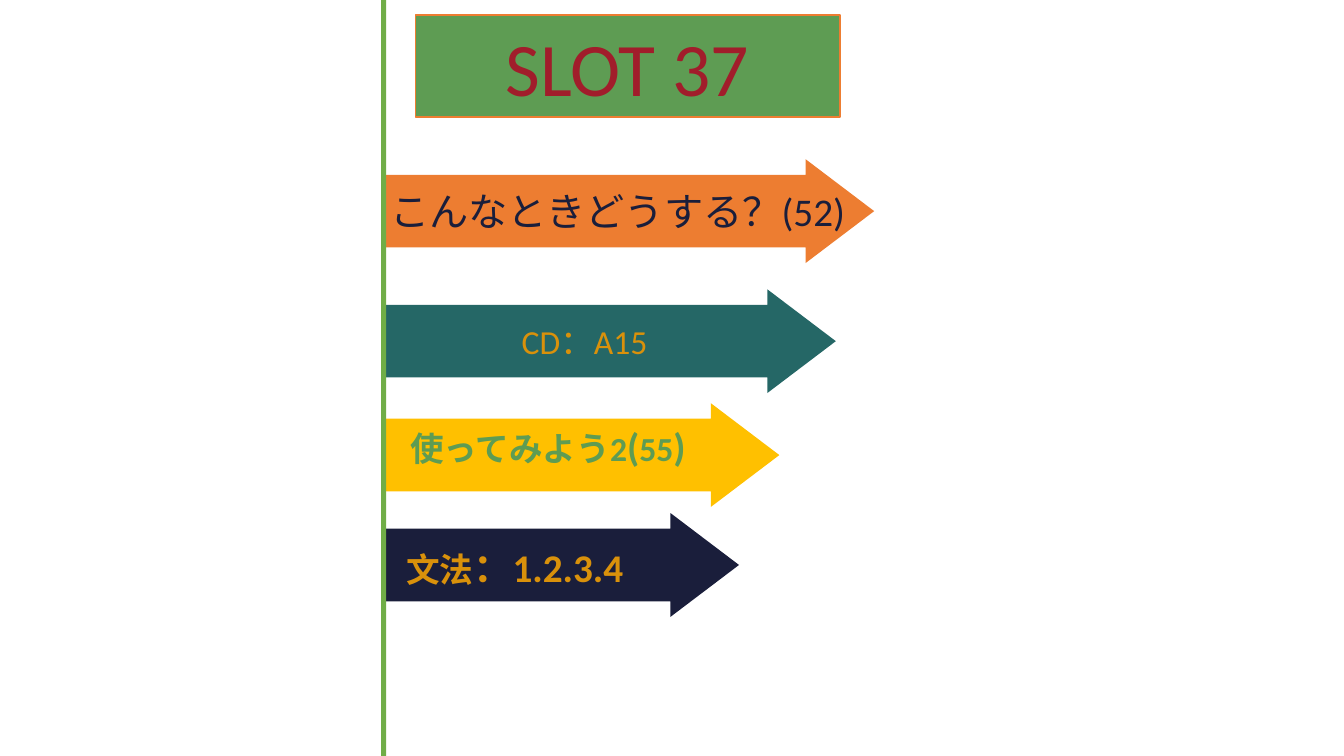
from pptx import Presentation
from pptx import util as u
from pptx.dml.color import RGBColor
from pptx.enum import shapes, text

HUES = {"green": "5E9C53", "rule": "70AD47", "orange": "ED7D31", "teal": "256766",
        "yellow": "FFC000", "navy": "1A1E3B", "gold": "D9910B", "red": "A11D2B"}
FONT = "Calibri"
WIDE, HIGH = 13.33, 7.5
RULE = (3.78, 0, 0.05, HIGH)
TITLE = ("SLOT 37", 54)
TALL = 1.03  # height of every arrow

# Arrows: left, top, width, fill
ARROWS = [
    (3.78, 1.58, 4.89, "orange"),
    (3.78, 2.87, 4.51, "teal"),
    (3.83, 4.0, 3.9, "yellow"),
    (3.83, 5.09, 3.5, "navy"),
]
TRACK = [("CD：A15", 24)]  # written inside the teal arrow

# Labels over arrows: box, colour, bold, runs of (text, size)
LABELS = [
    ((3.77, 1.81, 5.94, 0.57), "navy", False, [("こんなときどうする？(52)", 28)]),
    ((3.97, 4.14, 4.51, 0.57), "green", True,
     [("使ってみよう2", 24), ("(", 28), ("55", 24), (")", 28)]),
    ((3.93, 5.34, 3.25, 0.57), "gold", True, [("文法", 24), ("：1.2.3.4", 28)]),
]


def rgb(hue):
    return RGBColor.from_string(HUES[hue])


def place(box):
    return [u.Inches(n) for n in box]


def draw(slide, kind, box, fill, line=None):
    shape = slide.shapes.add_shape(kind, *place(box))
    shape.shadow.inherit = False
    shape.fill.solid()
    shape.fill.fore_color.rgb = rgb(fill)
    if line:
        shape.line.color.rgb = rgb(line)
        shape.line.width = u.Pt(1)
    else:
        shape.line.fill.background()
    return shape


def write(shape, runs, hue, bold=False, align=text.PP_ALIGN.LEFT):
    para = shape.text_frame.paragraphs[0]
    para.alignment = align
    for words, size in runs:
        run = para.add_run()
        run.text = words
        run.font.name = FONT
        run.font.size = u.Pt(size)
        run.font.bold = bold
        run.font.color.rgb = rgb(hue)


def main():
    deck = Presentation()
    deck.slide_width, deck.slide_height = place((WIDE, HIGH))
    slide = deck.slides.add_slide(deck.slide_layouts[6])
    mid = text.PP_ALIGN.CENTER

    # Arrows, the teal one with its own text
    for left, top, width, fill in ARROWS:
        arrow = draw(slide, shapes.MSO_SHAPE.RIGHT_ARROW, (left, top, width, TALL), fill)
        arrow.adjustments[0], arrow.adjustments[1] = 0.7, 0.66
        if fill == "teal":
            write(arrow, TRACK, "gold", align=mid)

    # Vertical rule and title
    rect = shapes.MSO_SHAPE.RECTANGLE
    draw(slide, rect, RULE, "rule")
    title = draw(slide, rect, (4.12, 0.15, 4.21, 1.01), "green", "orange")
    write(title, [TITLE], "red", align=mid)

    # Labels
    for box, hue, bold, runs in LABELS:
        label = slide.shapes.add_textbox(*place(box))
        label.text_frame.word_wrap = True
        write(label, runs, hue, bold)

    deck.save("out.pptx")


if __name__ == "__main__":
    main()
